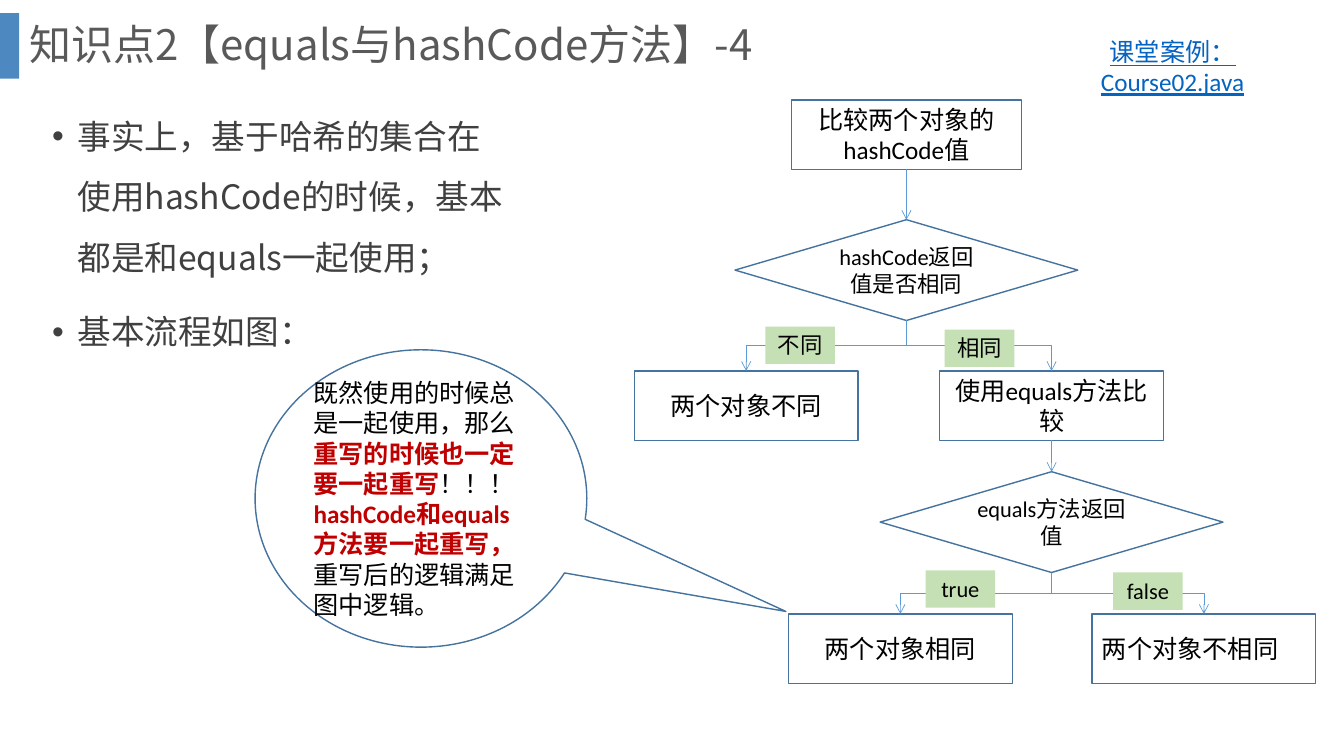
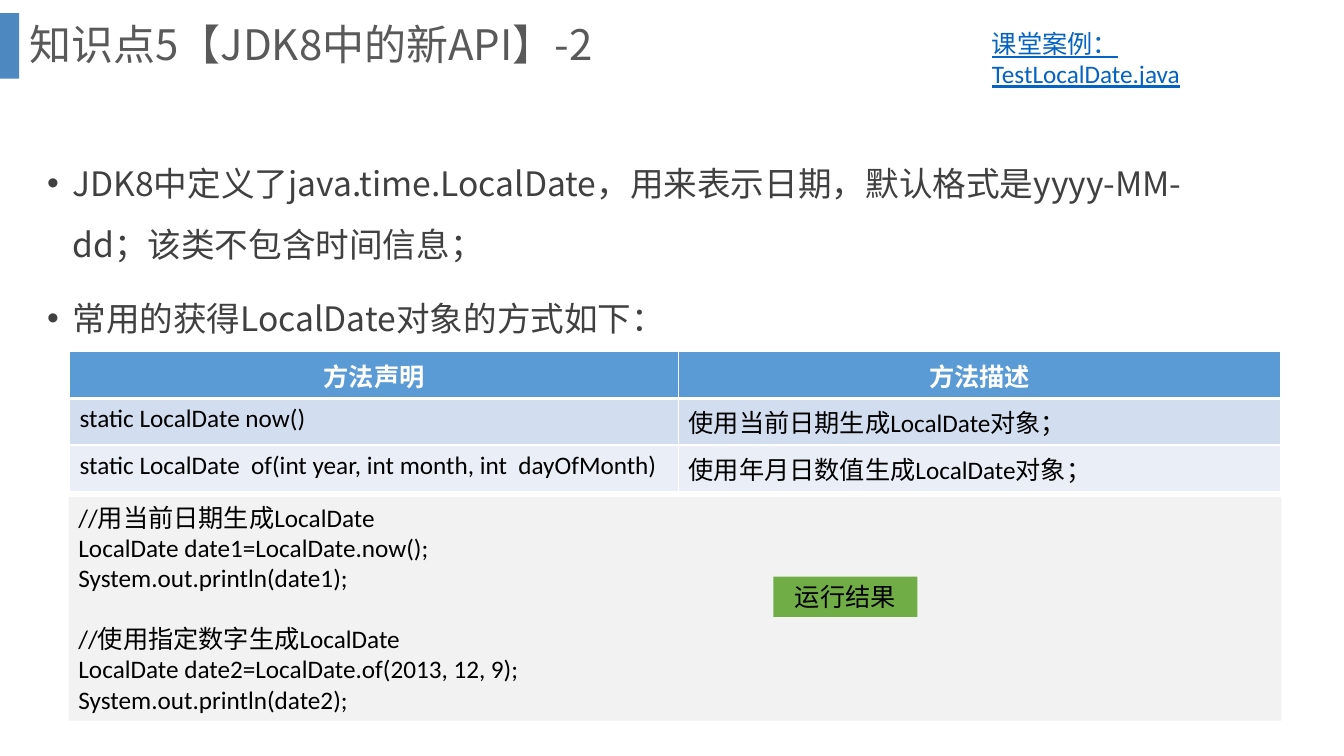
from lxml.etree import SubElement
from pptx import Presentation
from pptx.dml.color import RGBColor
from pptx.enum.shapes import MSO_CONNECTOR, MSO_SHAPE
from pptx.enum.text import MSO_ANCHOR, MSO_AUTO_SIZE, PP_ALIGN
from pptx.oxml.ns import qn
from pptx.util import Emu, Pt

EMU_PER_PX = 9144  # 100 px to the inch
TITLE_ONLY = 5
TOP_SITE, BOTTOM_SITE = 0, 2

HEAD_FONT = "Noto Sans CJK SC"
BODY_FONT = "Calibri"

BLACK = RGBColor(0x00, 0x00, 0x00)
WHITE = RGBColor(0xFF, 0xFF, 0xFF)
TITLE_GRAY = RGBColor(0x59, 0x59, 0x59)
BODY_GRAY = RGBColor(0x40, 0x40, 0x40)
BAR_BLUE = RGBColor(0x2E, 0x75, 0xB6)
LINK_BLUE = RGBColor(0x05, 0x63, 0xC1)
OUTLINE_BLUE = RGBColor(0x43, 0x73, 0x9E)
ACCENT_BLUE = RGBColor(0x5B, 0x9B, 0xD5)
ROW_DARK = RGBColor(0xD2, 0xDE, 0xEF)
ROW_LIGHT = RGBColor(0xEA, 0xEF, 0xF7)
CODE_GRAY = RGBColor(0xF2, 0xF2, 0xF2)
LABEL_GREEN = RGBColor(0xC5, 0xE0, 0xB4)
RESULT_GREEN = RGBColor(0x70, 0xAD, 0x47)
WARNING_RED = RGBColor(0xC0, 0x00, 0x00)


def px(*values):
    return [Emu(value * EMU_PER_PX) for value in values]


# Text
def format_text(text_frame, size=18, color=BLACK, font=BODY_FONT,
                align=PP_ALIGN.LEFT, bold=False, underline=False):
    for paragraph in text_frame.paragraphs:
        paragraph.alignment = align
        for run in paragraph.runs:
            run.font.size = Pt(size)
            run.font.name = font
            run.font.bold = bold
            run.font.underline = underline
            run.font.color.rgb = color
            properties = run._r.get_or_add_rPr()
            properties.set("lang", "zh-CN")
            SubElement(properties, qn("a:ea"), typeface=HEAD_FONT)


def add_text(slide, box, text, fill=None, grow=True, **style):
    shape = slide.shapes.add_textbox(*px(*box))
    text_frame = shape.text_frame
    text_frame.word_wrap = True
    text_frame.auto_size = (
        MSO_AUTO_SIZE.SHAPE_TO_FIT_TEXT if grow else MSO_AUTO_SIZE.NONE)
    text_frame.text = text
    format_text(text_frame, **style)
    if fill is not None:
        shape.fill.solid()
        shape.fill.fore_color.rgb = fill
    return shape


def add_bullets(slide, box, text):
    shape = add_text(slide, box, text, grow=False, size=24,
                     color=BODY_GRAY, font=HEAD_FONT)
    indent = px(25)[0]
    for paragraph in shape.text_frame.paragraphs:
        paragraph.line_spacing = 1.5
        paragraph.space_before = Pt(10)
        properties = paragraph._p.get_or_add_pPr()
        properties.set("marL", str(indent))
        properties.set("indent", str(-indent))
        SubElement(properties, qn("a:buFont"), typeface="Arial")
        SubElement(properties, qn("a:buChar"), char="•")


def add_link_text(slide, box, text, align=PP_ALIGN.LEFT):
    add_text(slide, box, text, color=LINK_BLUE, underline=True, align=align)


# Parts shared by the slides
def add_titled_slide(presentation, text):
    slide = presentation.slides.add_slide(
        presentation.slide_layouts[TITLE_ONLY])
    title = slide.shapes.title
    title.left, title.top, title.width, title.height = px(19, 0, 1266, 93)
    text_frame = title.text_frame
    text_frame.text = text
    text_frame.auto_size = MSO_AUTO_SIZE.NONE
    text_frame.vertical_anchor = MSO_ANCHOR.MIDDLE
    text_frame.paragraphs[0].line_spacing = 0.9
    format_text(text_frame, 30, TITLE_GRAY, HEAD_FONT)

    bar = slide.shapes.add_shape(MSO_SHAPE.RECTANGLE, *px(0, 13, 19, 65))
    bar.shadow.inherit = False
    bar.line.fill.background()
    bar.fill.solid()
    bar.fill.fore_color.rgb = BAR_BLUE
    bar_color = bar._element.spPr.find(qn("a:solidFill"))[0]
    SubElement(bar_color, qn("a:alpha"), val="85000")
    return slide


# Flowchart
def add_outlined(slide, kind, box, text, size=18, align=PP_ALIGN.CENTER):
    shape = slide.shapes.add_shape(kind, *px(*box))
    shape.shadow.inherit = False
    shape.fill.background()
    shape.line.color.rgb = OUTLINE_BLUE
    shape.line.width = Pt(1)
    text_frame = shape.text_frame
    text_frame.word_wrap = True
    text_frame.vertical_anchor = MSO_ANCHOR.MIDDLE
    text_frame.text = text
    format_text(text_frame, size, align=align)
    return shape


def add_step(slide, left, top, text, width=222, align=PP_ALIGN.CENTER):
    return add_outlined(slide, MSO_SHAPE.RECTANGLE, (left, top, width, 69),
                        text, align=align)


def add_decision(slide, left, top, text):
    return add_outlined(slide, MSO_SHAPE.DIAMOND, (left, top, 340, 100),
                        text, size=16)


def add_arrow(slide, source, target, kind):
    arrow = slide.shapes.add_connector(kind, 0, 0, 0, 0)
    arrow.begin_connect(source, BOTTOM_SITE)
    arrow.end_connect(target, TOP_SITE)
    arrow.line.color.rgb = ACCENT_BLUE
    arrow.line.width = Pt(0.5)
    SubElement(arrow.line._get_or_add_ln(), qn("a:tailEnd"), type="arrow")
    SubElement(arrow._element.spPr, qn("a:effectLst"))
    return arrow


def add_branch(slide, source, target):
    """Elbow arrow that leaves downwards, runs sideways, then drops."""
    arrow = add_arrow(slide, source, target, MSO_CONNECTOR.ELBOW)
    run = arrow.end_x - arrow.begin_x
    drop = arrow.end_y - arrow.begin_y
    center_x = (arrow.begin_x + arrow.end_x) // 2
    center_y = (arrow.begin_y + arrow.end_y) // 2
    arrow.left, arrow.top = center_x - drop // 2, center_y - abs(run) // 2
    arrow.width, arrow.height = drop, abs(run)
    transform = arrow._element.spPr.find(qn("a:xfrm"))
    transform.set("rot", "5400000" if run < 0 else "16200000")
    transform.set("flipH", "0" if run < 0 else "1")
    transform.set("flipV", "0")


def add_flowchart(slide):
    start = add_step(slide, 785, 99, "比较两个对象的hashCode值", width=228)
    same_hash = add_decision(slide, 729, 218, "hashCode返回值是否相同")
    different = add_step(slide, 629, 368, "两个对象不同")
    compare = add_step(slide, 932, 368, "使用equals方法比较")
    same_value = add_decision(slide, 873, 468, "equals方法返回值")
    equal = add_step(slide, 782, 609, "两个对象相同")
    unequal = add_step(slide, 1083, 609, "两个对象不相同",
                       align=PP_ALIGN.LEFT)

    for source, target in ((start, same_hash), (compare, same_value)):
        add_arrow(slide, source, target, MSO_CONNECTOR.STRAIGHT)
    for source, target in ((same_hash, different), (same_hash, compare),
                           (same_value, equal), (same_value, unequal)):
        add_branch(slide, source, target)

    for left, top, text in ((759, 324, "不同"), (937, 327, "相同"),
                            (918, 566, "true"), (1104, 568, "false")):
        add_text(slide, (left, top, 69, 37), text, fill=LABEL_GREEN,
                 size=16, align=PP_ALIGN.CENTER)


def add_callout(slide, box, parts):
    """parts holds (text, emphasised) pairs."""
    callout = add_outlined(slide, MSO_SHAPE.OVAL_CALLOUT, box, "")
    callout.adjustments[0] = 1.1
    callout.adjustments[1] = 0.38
    paragraph = callout.text_frame.paragraphs[0]
    for text, _ in parts:
        paragraph.add_run().text = text
    format_text(callout.text_frame)
    for run, (_, emphasised) in zip(paragraph.runs, parts):
        if emphasised:
            run.font.bold = True
            run.font.color.rgb = WARNING_RED


# Table
def set_borders(cell, top, bottom):
    properties = cell._tc.get_or_add_tcPr()
    for side, width in (("L", 1), ("R", 1), ("T", top), ("B", bottom)):
        line = SubElement(properties, qn(f"a:ln{side}"), w=str(Pt(width)))
        fill = SubElement(line, qn("a:solidFill"))
        SubElement(fill, qn("a:srgbClr"), val=str(WHITE))


def add_method_table(slide, left, top, widths, row_height, rows):
    table = slide.shapes.add_table(
        len(rows), len(widths),
        *px(left, top, sum(widths), row_height * len(rows))).table
    for column, width in zip(table.columns, px(*widths)):
        column.width = width
    fills = (ACCENT_BLUE, ROW_DARK, ROW_LIGHT)
    for row_index, (texts, fill) in enumerate(zip(rows, fills)):
        header = row_index == 0
        for column_index, text in enumerate(texts):
            cell = table.cell(row_index, column_index)
            set_borders(cell, top=3 if row_index == 1 else 1,
                        bottom=3 if header else 1)
            cell.fill.solid()
            cell.fill.fore_color.rgb = fill
            cell.text_frame.text = text
            format_text(cell.text_frame, bold=header,
                        color=WHITE if header else BLACK,
                        align=PP_ALIGN.CENTER if header else PP_ALIGN.LEFT)


# Slides
def build_hash_code_slide(presentation):
    slide = add_titled_slide(presentation, "知识点2【equals与hashCode方法】-4")
    add_bullets(slide, (42, 90, 477, 398),
                "事实上，基于哈希的集合在使用hashCode的时候，基本都是和equals一起使用；\n"
                "基本流程如图：")
    add_link_text(slide, (1049, 31, 228, 71), "课堂案例：Course02.java",
                  PP_ALIGN.CENTER)
    add_flowchart(slide)
    add_callout(slide, (253, 347, 329, 295), (
        ("既然使用的时候总是一起使用，那么", False),
        ("重写的时候也一定要一起重写", True),
        ("！！！", False),
        ("hashCode和equals方法要一起重写，", True),
        ("重写后的逻辑满足图中逻辑。", False)))


def build_local_date_slide(presentation):
    slide = add_titled_slide(presentation, "知识点5【JDK8中的新API】-2")
    add_bullets(slide, (37, 137, 1205, 286),
                "JDK8中定义了java.time.LocalDate，用来表示日期，"
                "默认格式是yyyy-MM-dd；该类不包含时间信息；\n"
                "常用的获得LocalDate对象的方式如下：")
    add_method_table(slide, 69, 349, (604, 597), 41, (
        ("方法声明", "方法描述"),
        ("static LocalDate now()", "使用当前日期生成LocalDate对象；"),
        ("static LocalDate  of(int year, int month, int  dayOfMonth)",
         "使用年月日数值生成LocalDate对象；")))
    code = add_text(slide, (68, 493, 1203, 222),
                    "//用当前日期生成LocalDate\n"
                    "LocalDate date1=LocalDate.now();\n"
                    "System.out.println(date1);\n"
                    "//使用指定数字生成LocalDate\n"
                    "LocalDate date2=LocalDate.of(2013, 12, 9);\n"
                    "System.out.println(date2);", fill=CODE_GRAY)
    code.text_frame.paragraphs[3].space_before = Pt(22)
    add_text(slide, (767, 572, 143, 40), "运行结果", fill=RESULT_GREEN,
             align=PP_ALIGN.CENTER)
    add_link_text(slide, (974, 23, 334, 71), "课堂案例： TestLocalDate.java")


def main():
    presentation = Presentation()
    presentation.slide_width, presentation.slide_height = px(1333, 750)
    build_hash_code_slide(presentation)
    build_local_date_slide(presentation)
    presentation.save("out.pptx")


if __name__ == "__main__":
    main()
